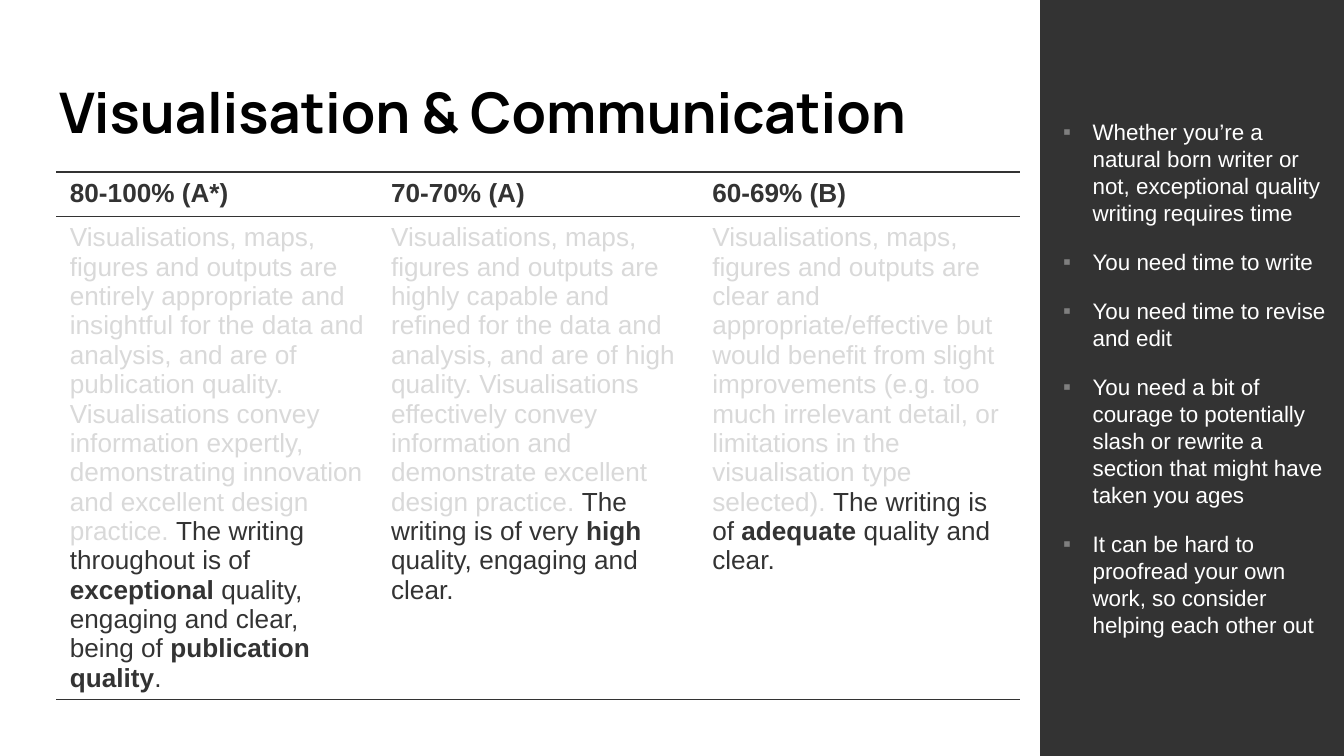
from dataclasses import dataclass

from lxml import etree
from pptx import Presentation
from pptx.dml.color import RGBColor
from pptx.enum import shapes, text
from pptx.oxml import ns
from pptx.util import Inches, Pt


@dataclass(frozen=True)
class Theme:
    dark: str = "333333"
    pale: str = "D9D9D9"
    mark: str = "7F7F7F"
    white: str = "FFFFFF"
    black: str = "000000"
    head: str = "Manrope"
    body: str = "Arial"
    title: int = 30
    table: int = 14
    side: int = 12
    edge: float = 1
    inner: float = 0.5


THEME = Theme()
WIDTH = Inches(10)
HEIGHT = WIDTH * 9 // 16

GRADES = [
    ("80-100% (A*)",
     "Visualisations, maps, figures and outputs are entirely appropriate and "
     "insightful for the data and analysis, and are of publication quality. "
     "Visualisations convey information expertly, demonstrating innovation "
     "and excellent design practice. ",
     ["The writing throughout is of ", "exceptional",
      " quality, engaging and clear, being of ", "publication quality", "."]),
    ("70-70% (A)",
     "Visualisations, maps, figures and outputs are highly capable and refined "
     "for the data and analysis, and are of high quality. Visualisations "
     "effectively convey information and demonstrate excellent design practice. ",
     ["The writing is of very ", "high", " quality, engaging and clear."]),
    ("60-69% (B)",
     "Visualisations, maps, figures and outputs are clear and "
     "appropriate/effective but would benefit from slight improvements (e.g. too "
     "much irrelevant detail, or limitations in the visualisation type selected). ",
     ["The writing is of ", "adequate", " quality and clear."]),
]

TIPS = [
    "Whether you’re a natural born writer or not, exceptional quality writing "
    "requires time",
    "You need time to write",
    "You need time to revise and edit",
    "You need a bit of courage to potentially slash or rewrite a section that "
    "might have taken you ages",
    "It can be hard to proofread your own work, so consider helping each other out",
]


def add_text(para, words, size=THEME.table, color=THEME.dark, bold=False,
             face=THEME.body):
    run = para.add_run()
    run.text = words
    font = run.font
    font.size, font.bold, font.name = Pt(size), bold, face
    font.color.rgb = RGBColor.from_string(color)
    para.alignment = text.PP_ALIGN.LEFT


def add_node(parent, tag, **attrs):
    node = etree.SubElement(parent, ns.qn(tag))
    for key, value in attrs.items():
        node.set(key, str(value))
    return node


def set_pad(frame, left, top, right, bottom):
    frame.margin_left, frame.margin_top = Inches(left), Inches(top)
    frame.margin_right, frame.margin_bottom = Inches(right), Inches(bottom)
    frame.vertical_anchor = text.MSO_ANCHOR.MIDDLE
    frame.word_wrap = True


def add_title(slide):
    title = slide.shapes.title
    title.left, title.top = Inches(0.34), Inches(0.49)
    title.width, title.height = Inches(9.32), Inches(0.68)
    set_pad(title.text_frame, 0.1, 0.1, 0.1, 0.1)
    add_text(title.text_frame.paragraphs[0], "Visualisation & Communication",
             size=THEME.title, color=THEME.black, bold=True, face=THEME.head)


def add_rules(cell, above, below):
    cell.fill.background()
    props = cell._tc.get_or_add_tcPr()
    for spot, (tag, width) in enumerate((("a:lnT", above), ("a:lnB", below))):
        line = add_node(props, tag, w=Pt(width))
        fill = add_node(line, "a:solidFill")
        add_node(fill, "a:srgbClr", val=THEME.dark)
        props.insert(spot, line)


def add_grades(slide):
    frame = slide.shapes.add_table(2, len(GRADES), Inches(0.42), Inches(1.28),
                                   Inches(7.17), Inches(3.83))
    table = frame.table
    table.horz_banding = False
    style = table._tbl.tblPr.find(ns.qn("a:tableStyleId"))
    style.text = "{2D5ABB26-0587-4C30-8999-92F81FD0307C}"
    for row, height in zip(table.rows, (0.33, 3.5)):
        row.height = Inches(height)
    for col, (grade, faded, parts) in enumerate(GRADES):
        top, body = table.cell(0, col), table.cell(1, col)
        add_text(top.text_frame.paragraphs[0], grade, bold=True)
        para = body.text_frame.paragraphs[0]
        add_text(para, faded, color=THEME.pale)
        for index, words in enumerate(parts):
            add_text(para, words, bold=index % 2 == 1)
        add_rules(top, THEME.edge, THEME.inner)
        add_rules(body, THEME.inner, THEME.edge)


def add_bullet(para):
    props = para._p.get_or_add_pPr()
    props.set("marL", str(Inches(0.31)))
    props.set("indent", str(Inches(-0.22)))
    color = add_node(props, "a:buClr")
    add_node(color, "a:srgbClr", val=THEME.mark)
    add_node(props, "a:buFont", typeface=THEME.body)
    add_node(props, "a:buChar", char="▪")


def add_side(slide):
    left = Inches(7.74)
    panel = slide.shapes.add_shape(shapes.MSO_SHAPE.RECTANGLE, left, 0,
                                   WIDTH - left, HEIGHT)
    panel.shadow.inherit = False
    panel.fill.solid()
    panel.fill.fore_color.rgb = RGBColor.from_string(THEME.dark)
    panel.line.fill.background()
    frame = panel.text_frame
    set_pad(frame, 0.08, 0.05, 0.1, 0.05)
    for index, tip in enumerate(TIPS):
        para = frame.add_paragraph() if index else frame.paragraphs[0]
        add_bullet(para)
        para.space_after = Pt(12)
        add_text(para, tip, size=THEME.side, color=THEME.white)


def main():
    deck = Presentation()
    deck.slide_width, deck.slide_height = WIDTH, HEIGHT
    slide = deck.slides.add_slide(deck.slide_layouts[5])
    add_title(slide)
    add_grades(slide)
    add_side(slide)
    deck.save("out.pptx")


if __name__ == "__main__":
    main()
